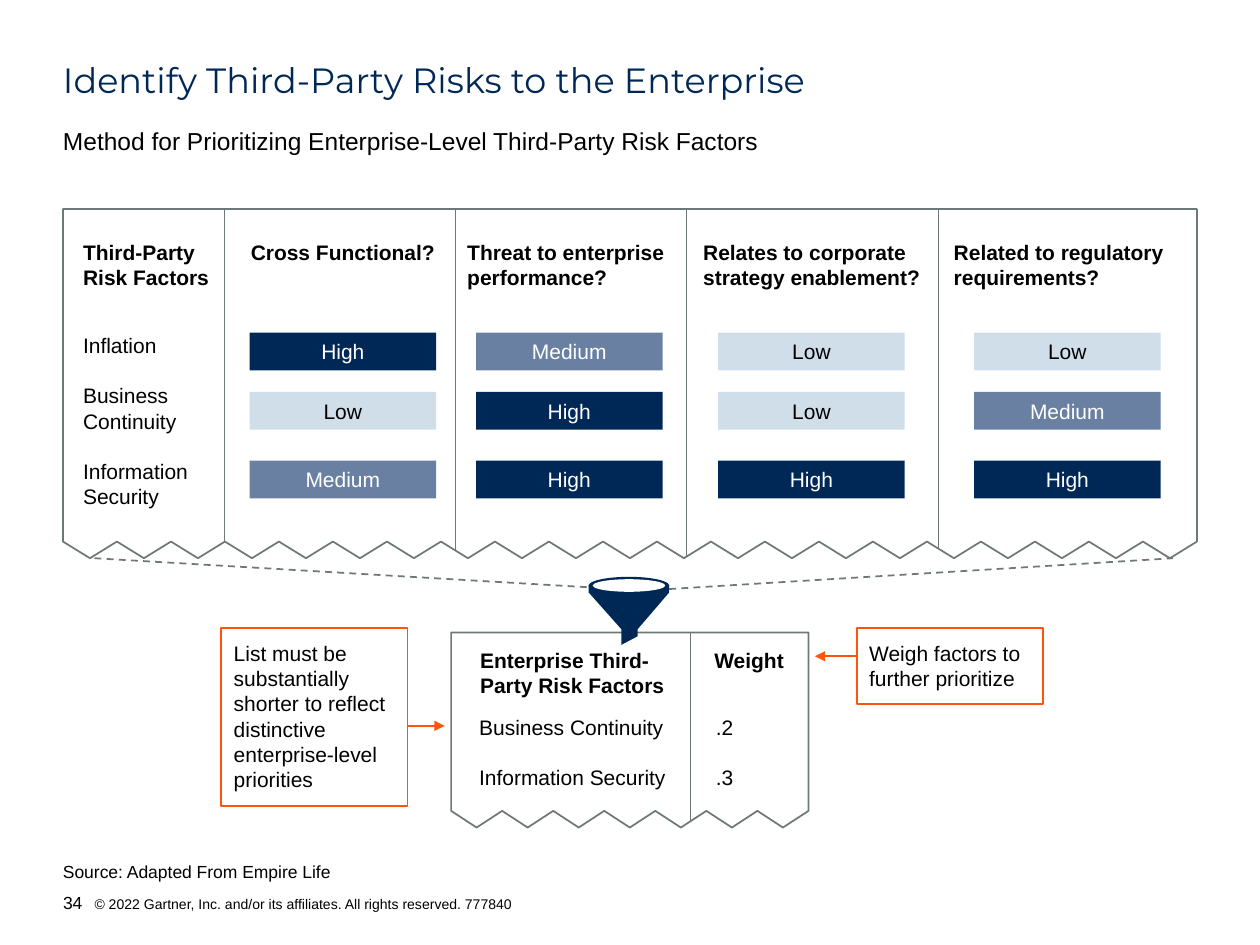
from dataclasses import dataclass

from lxml.etree import SubElement
from pptx import Presentation
from pptx.dml.color import RGBColor
from pptx.enum.dml import MSO_LINE
from pptx.enum.shapes import MSO_CONNECTOR, MSO_SHAPE
from pptx.enum.text import MSO_ANCHOR, PP_ALIGN
from pptx.oxml.ns import qn
from pptx.util import Pt


@dataclass(frozen=True)
class Theme:
    """Colours, fonts and type sizes of the slide."""
    navy: str = "002856"
    slate: str = "6A80A3"
    pale: str = "D0DEEA"
    gray: str = "6F7878"
    orange: str = "FF540A"
    black: str = "000000"
    white: str = "FFFFFF"
    sans: str = "Arial"
    display: str = "Montserrat"
    title: float = 20
    lead: float = 14
    body: float = 12
    note: float = 10
    legal: float = 8
    row: float = 14.4


T = Theme()
RATINGS = {"High": (T.navy, T.white), "Medium": (T.slate, T.white), "Low": (T.pale, T.black)}
FACTORS = ["Inflation", "Business Continuity", "Information Security"]
COLUMNS = [
    (92.2, 107.3, 107, 106.6, "Cross Functional?", ["High", "Low", "Medium"]),
    (224, 231, 118, 236, "Threat to enterprise performance?", ["Medium", "High", "High"]),
    (356.4, 365.8, 126, 374.4, "Relates to corporate strategy enablement?", ["Low", "Low", "High"]),
    (500.4, 509, 126, 520.6, "Related to regulatory requirements?", ["Low", "Medium", "High"]),
]
DEPTH = 9.5


def style(font, size, color, name=T.sans, bold=False):
    """Set the look of a font."""
    font.size, font.name, font.bold = Pt(size), name, bold
    font.color.rgb = RGBColor.from_string(color)


def write(shape, text, size=T.body, color=T.black, name=T.sans, bold=False, align=PP_ALIGN.LEFT,
          anchor=MSO_ANCHOR.TOP, pad=(0, 3.6), row=Pt(T.row), gap=0, hang=0):
    """Fill a shape with one paragraph per line and return the last one."""
    frame = shape.text_frame
    frame.word_wrap, frame.vertical_anchor = True, anchor
    frame.margin_left = frame.margin_right = Pt(pad[0])
    frame.margin_top = frame.margin_bottom = Pt(pad[1])
    for place, line in enumerate(text.split("\n")):
        part = frame.add_paragraph() if place else frame.paragraphs[0]
        part.alignment, part.line_spacing = align, row
        if place:
            part.space_before = Pt(gap)
        if hang:
            props = part._p.get_or_add_pPr()
            props.set("marL", str(Pt(hang)))
            props.set("indent", str(-Pt(hang)))
        run = part.add_run()
        run.text = line
        style(run.font, size, color, name, bold)
    return part


def label(slide, box, text, **form):
    """Add a text box."""
    return write(slide.shapes.add_textbox(*map(Pt, box)), text, **form)


def paint(shape, fill, line=None):
    """Give a shape a fill and an optional thin outline."""
    shape.shadow.inherit = False
    shape.fill.solid()
    shape.fill.fore_color.rgb = RGBColor.from_string(fill)
    if line:
        shape.line.color.rgb = RGBColor.from_string(line)
        shape.line.width = Pt(1)
    else:
        shape.line.fill.background()
    return shape


def block(slide, box, fill, line=None, kind=MSO_SHAPE.RECTANGLE):
    """Add a painted preset shape."""
    return paint(slide.shapes.add_shape(kind, *map(Pt, box)), fill, line)


def outline(slide, points, fill, line=None):
    """Add a closed polygon."""
    spots = [(Pt(x), Pt(y)) for x, y in points]
    maker = slide.shapes.build_freeform(*spots[0])
    maker.add_line_segments(spots[1:], close=True)
    return paint(maker.convert_to_shape(), fill, line)


def rule(slide, start, end, color=T.gray, width=1, dash=False, arrow=False):
    """Add a straight line."""
    line = slide.shapes.add_connector(MSO_CONNECTOR.STRAIGHT, *map(Pt, (*start, *end)))
    line.line.color.rgb = RGBColor.from_string(color)
    line.line.width = Pt(width)
    if dash:
        line.line.dash_style = MSO_LINE.DASH
    if arrow:
        SubElement(line.line._get_or_add_ln(), qn("a:tailEnd"), type="triangle")
    SubElement(line._element.spPr, qn("a:effectLst"))


def torn(slide, box, teeth, splits):
    """Draw a panel with a torn lower edge and dividers that reach it."""
    left, top, width, height = box
    base, step = top + height - DEPTH, width / teeth

    def edge(x):
        """Find the height of the torn edge at a given offset."""
        return base + DEPTH * (1 - abs(2 * (x / step % 1) - 1))

    points = [(left, top)]
    for tooth in range(teeth):
        x = left + tooth * step
        points += [(x, base), (x + step / 2, base + DEPTH)]
    points += [(left + width, base), (left + width, top)]
    outline(slide, points, T.white, T.gray)
    for x in splits:
        rule(slide, (left + x, top), (left + x, edge(x)), width=0.5)


def matrix(slide, box):
    """Draw the panel that rates each risk factor."""
    left, top = box[:2]
    torn(slide, box, 21, [column[0] for column in COLUMNS])
    label(slide, (left + 11.5, top + 13.7, 78, 36), "Third-Party Risk Factors", bold=True)
    label(slide, (left + 11.5, top + 67, 69, 108.7), "\n".join(FACTORS), gap=T.row)
    for _, head, width, chip, title, grades in COLUMNS:
        label(slide, (left + head, top + 13.7, width, 36), title, bold=True)
        for y, grade in zip((70.6, 104.4, 143.7), grades):
            fill, ink = RATINGS[grade]
            shape = block(slide, (left + chip, top + y, 106.6, 21.6), fill)
            write(shape, grade, color=ink, align=PP_ALIGN.CENTER, anchor=MSO_ANCHOR.MIDDLE)


def result(slide, box):
    """Draw the panel of weighted risk factors."""
    left, top = box[:2]
    torn(slide, box, 7, [136.8])
    label(slide, (left + 16.5, top + 5, 109, 36), "Enterprise Third- Party Risk Factors", bold=True)
    label(slide, (left + 150.4, top + 5, 50, 21.6), "Weight", bold=True)
    label(slide, (left + 16, top + 43.3, 110, 51), "\n".join(FACTORS[1:]), gap=T.row)
    label(slide, (left + 151.2, top + 43.3, 29, 51), ".2\n.3", gap=T.row)


def funnel(slide, box):
    """Draw the funnel and the dashed lines that lead into it."""
    left, top, width, height = box
    rule(slide, (54, 319), (left, top + 6))
    slide.shapes[-1].line.dash_style = MSO_LINE.DASH
    rule(slide, (left + width, top + 7), (670.3, 319), dash=True)
    points = [(0, 4.5), (0, 9), (18.7, 30), (18.7, height), (28, 34), (28, 30),
              (width, 9), (width, 4.5)]
    outline(slide, [(left + x, top + y) for x, y in points], T.navy)
    block(slide, (left, top, width, 10), T.navy, kind=MSO_SHAPE.OVAL)
    block(slide, (left + 2.3, top + 1.4, 41.4, 7.2), T.white, kind=MSO_SHAPE.OVAL)


def callout(slide, box, text, start, end):
    """Draw a framed remark with an arrow, placed relative to its box."""
    left, top = box[:2]
    rule(slide, (left + start[0], top + start[1]), (left + end[0], top + end[1]),
         color=T.orange, arrow=True)
    write(block(slide, box, T.white, T.orange), text, pad=(7.2, 7.2))


def frame(slide, box):
    """Write the titles, the source and the footer."""
    left, top, width, height = box
    label(slide, (left, top, width, 18), "Identify Third-Party Risks to the Enterprise",
          size=T.title, color=T.navy, name=T.display, pad=(0, 0), row=0.9)
    label(slide, (left, top + 36, width, 14.4),
          "Method for Prioritizing Enterprise-Level Third-Party Risk Factors",
          size=T.lead, pad=(0, 0), row=1.0)
    low = dict(size=T.note, pad=(0, 0), row=1.0, anchor=MSO_ANCHOR.BOTTOM)
    label(slide, (left, top + height - 37.4, 273.6, 19.4), "Source: Adapted From Empire Life", **low)
    foot = label(slide, (left, top + height - 12.2, 431.3, 12.2), "34", hang=18, **low)
    run = foot.add_run()
    run.text = "\t© 2022 Gartner, Inc. and/or its affiliates. All rights reserved. 777840"
    style(run.font, T.legal, T.black)


def main():
    """Build and save the slide."""
    deck = Presentation()
    deck.slide_width, deck.slide_height = Pt(720), Pt(540)
    slide = deck.slides.add_slide(deck.slide_layouts[6])
    frame(slide, (36, 36, 648, 486))
    result(slide, (257.8, 361.4, 204.2, 111.5))
    callout(slide, (489.6, 358.8, 106.4, 43.7), "Weigh factors to further prioritize",
            (0, 16.2), (-24, 16.2))
    callout(slide, (126.5, 358.8, 106.4, 101.8),
            "List must be substantially shorter to reflect distinctive enterprise-level priorities",
            (106.4, 56), (127.6, 56))
    matrix(slide, (36, 119.5, 648, 199.5))
    funnel(slide, (336.4, 329.6, 46, 38.9))
    deck.save("out.pptx")


if __name__ == "__main__":
    main()
